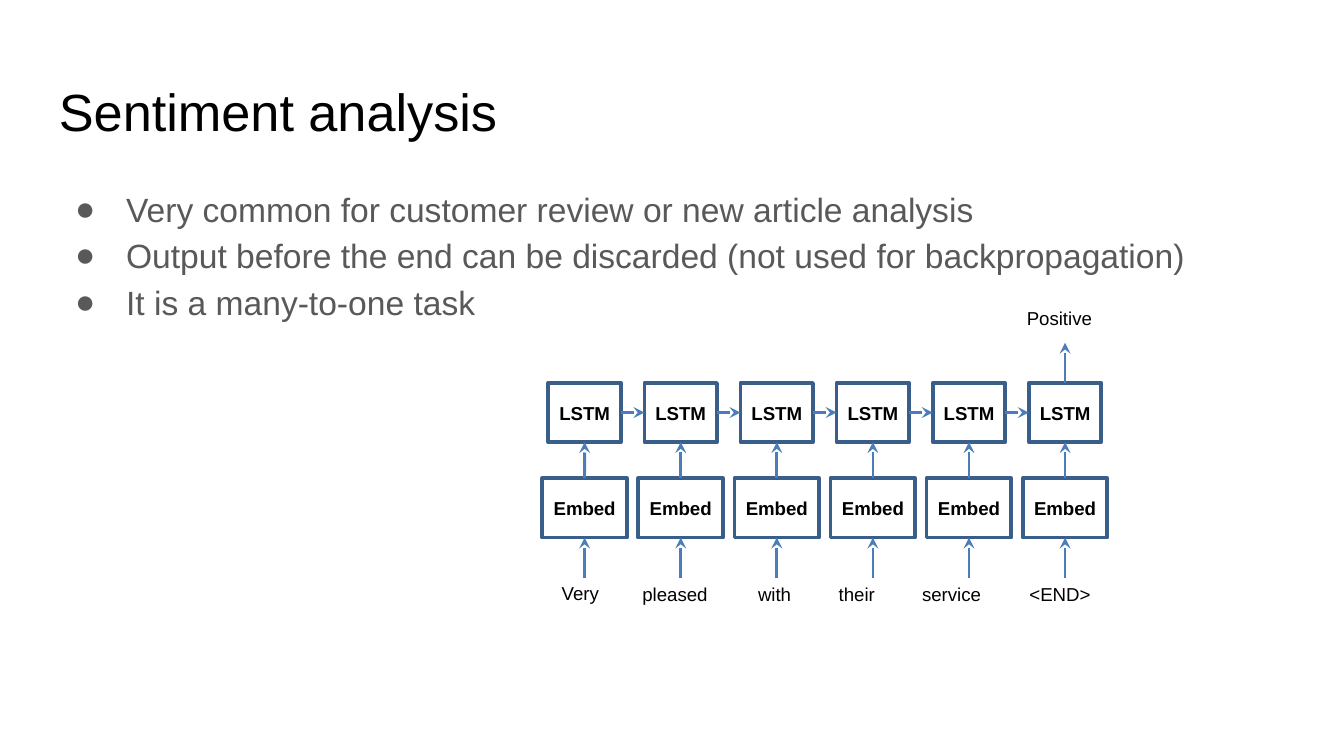
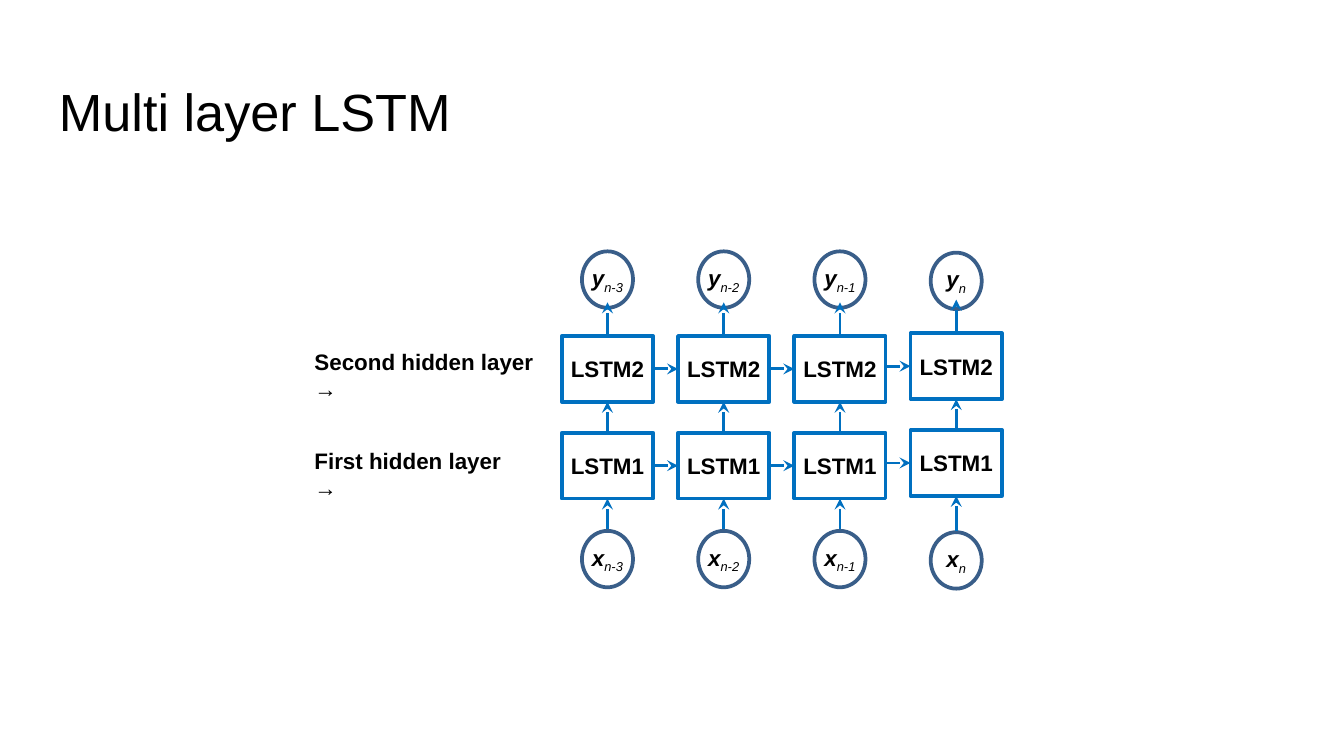
from lxml import etree
from pptx import Presentation
from pptx.dml.color import RGBColor
from pptx.enum import shapes as kinds, text as styles
from pptx.oxml import ns
from pptx.util import Inches, Pt

BLACK = RGBColor(0, 0, 0)
GRAY = RGBColor(0x59, 0x59, 0x59)
NAVY = RGBColor(0x39, 0x5E, 0x89)
STEEL = RGBColor(0x4A, 0x7D, 0xBA)
BLUE = RGBColor(0x00, 0x70, 0xC0)
RECT = kinds.MSO_SHAPE.RECTANGLE
OVAL = kinds.MSO_SHAPE.OVAL
TOP, LEFT, BOTTOM, RIGHT = range(4)

TITLES = ["Sentiment analysis", "Multi layer LSTM"]
POINTS = [
    "Very common for customer review or new article analysis",
    "Output before the end can be discarded (not used for backpropagation)",
    "It is a many-to-one task",
]
WORDS = [
    ("Very", 4.11, 4.29, 0.5),
    ("pleased", 4.71, 4.3, 0.75),
    ("with", 5.57, 4.3, 0.49),
    ("their", 6.17, 4.3, 0.52),
    ("service", 6.79, 4.3, 0.69),
    ("<END>", 7.59, 4.3, 0.67),
]
RESULT = ("Positive", 7.57, 2.24, 0.75)
STEPS = ["n-3", "n-2", "n-1", "n"]
LAYERS = [
    ("Second hidden layer →", 2.55, 1.96),
    ("First hidden layer →", 3.29, 1.73),
]


def add(parent, tag, **attrs):
    item = etree.SubElement(parent, ns.qn(tag))
    for key, value in attrs.items():
        item.set(key, value)
    return item


def mark(para, size, color):
    props = para._p.get_or_add_pPr()
    props.set("marL", str(Inches(0.5)))
    props.set("indent", str(Inches(-0.38)))
    add(add(props, "a:buClr"), "a:srgbClr", val=str(color))
    add(props, "a:buSzPts", val=str(size * 100))
    add(props, "a:buFont", typeface="Arial")
    add(props, "a:buChar", char="●")


def write(shape, lines, sub="", size=10, bold=False, italic=False, color=BLACK,
          align=None, anchor=styles.MSO_ANCHOR.TOP, inset=(0, 0), bullet=False):
    frame = shape.text_frame
    frame.word_wrap = True
    frame.vertical_anchor = anchor
    frame.margin_left = frame.margin_right = Inches(inset[0])
    frame.margin_top = frame.margin_bottom = Inches(inset[1])
    for i, line in enumerate(lines):
        para = frame.add_paragraph() if i else frame.paragraphs[0]
        para.alignment = align
        if bullet:
            para.line_spacing = 1.15
            mark(para, size, color)
        for part in filter(None, (line, sub)):
            run = para.add_run()
            run.text = part
            font = run.font
            font.name, font.size, font.italic = "Arial", Pt(size), italic
            font.bold = bold and part is line
            font.color.rgb = color
            if part is sub:
                run._r.get_or_add_rPr().set("baseline", "-25000")


def label(slide, line, x, y, wide, high=0.3, **form):
    box = slide.shapes.add_textbox(*map(Inches, (x, y, wide, high)))
    write(box, [line], **{"inset": (0.07, 0.04), **form})


def node(slide, kind, line, mid, y, wide, high, color, **form):
    shape = slide.shapes.add_shape(
        kind, *map(Inches, (mid - wide / 2, y, wide, high)))
    shape.shadow.inherit = False
    shape.fill.background()
    shape.line.color.rgb = color
    shape.line.width = Pt(2)
    write(shape, [line], bold=True, align=styles.PP_ALIGN.CENTER,
          anchor=styles.MSO_ANCHOR.MIDDLE, **form)
    return shape


def side(box, site):
    dx, dy = [(0.5, 0), (0, 0.5), (0.5, 1), (1, 0.5)][site]
    return (int(box.left + dx * box.width), int(box.top + dy * box.height),
            box, site)


def arrow(slide, start, end, color):
    line = slide.shapes.add_connector(
        kinds.MSO_CONNECTOR.STRAIGHT, *start[:2], *end[:2])
    if start[2:]:
        line.begin_connect(*start[2:])
    if end[2:]:
        line.end_connect(*end[2:])
    line.line.color.rgb = color
    line.line.width = Pt(1.5)
    add(line.line._get_or_add_ln(), "a:tailEnd", type="stealth")
    add(line._element.spPr, "a:effectLst")


def chain(slide, boxes, color):
    for prev, box in zip(boxes, boxes[1:]):
        start, end = side(prev, RIGHT), side(box, LEFT)
        if start[1] != end[1]:
            start = (start[0], end[1])
        arrow(slide, start, end, color)


def begin(deck, title):
    slide = deck.slides.add_slide(deck.slide_layouts[6])
    label(slide, title, 0.34, 0.49, 9.32, 0.63, size=28, inset=(0.1, 0.1))
    return slide


def sentiment(deck):
    slide = begin(deck, TITLES[0])
    body = slide.shapes.add_textbox(*map(Inches, (0.34, 1.26, 9.32, 3.74)))
    write(body, POINTS, size=18, color=GRAY, inset=(0.1, 0.1), bullet=True)
    cells = []
    for i, word in enumerate(WORDS):
        mid = 4.35 + 0.715 * i
        label(slide, *word)
        embed = node(slide, RECT, "Embed", mid, 3.56, 0.63, 0.44, NAVY)
        cell = node(slide, RECT, "LSTM", mid, 2.85, 0.54, 0.44, NAVY)
        base = side(embed, BOTTOM)
        arrow(slide, (base[0], Inches(4.3)), base, STEEL)
        arrow(slide, side(embed, TOP), side(cell, BOTTOM), STEEL)
        cells.append(cell)
    chain(slide, cells, STEEL)
    out = side(cells[-1], TOP)
    arrow(slide, out, (out[0], Inches(2.55)), STEEL)
    label(slide, *RESULT)


def layers(deck):
    slide = begin(deck, TITLES[1])
    lower, upper = [], []
    for i, step in enumerate(STEPS):
        mid = 4.52 + 0.865 * i
        last = step == STEPS[-1]
        lift, drop = (0.02, 0.01) if last else (0, 0)
        for name, y in (("x", 3.95), ("y", 1.87)):
            node(slide, OVAL, name, mid, y + drop, 0.38, 0.42, NAVY,
                 sub=step, size=12, italic=True)
        one, two = (
            node(slide, RECT, name, mid, y - lift, 0.68, 0.49, BLUE, size=12)
            for name, y in (("LSTM1", 3.22), ("LSTM2", 2.5)))
        base, peak = side(one, BOTTOM), side(two, TOP)
        arrow(slide, (base[0], Inches(3.94 + drop)), base, BLUE)
        arrow(slide, side(one, TOP), side(two, BOTTOM), BLUE)
        arrow(slide, peak, (peak[0], Inches(2.25 - lift)), BLUE)
        lower.append(one)
        upper.append(two)
    chain(slide, lower, BLUE)
    chain(slide, upper, BLUE)
    for line, y, wide in LAYERS:
        label(slide, line, 2.27, y, wide, 0.34, size=12, bold=True)


def main():
    deck = Presentation()
    deck.slide_width = Inches(10)
    deck.slide_height = deck.slide_width * 9 // 16
    sentiment(deck)
    layers(deck)
    deck.save("out.pptx")


if __name__ == "__main__":
    main()
